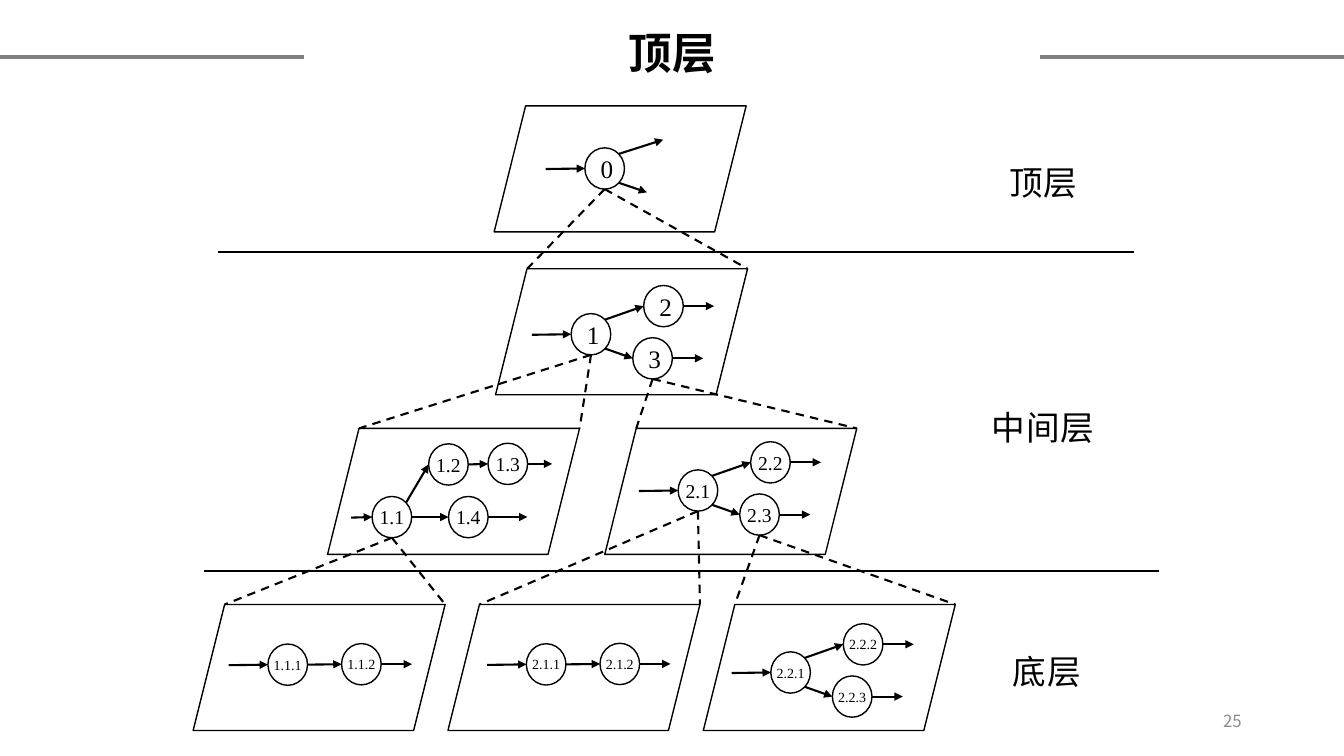
import pptx
import pptx.util
import pptx.dml.color
import pptx.enum.dml
import pptx.enum.shapes
import pptx.enum.text
import pptx.oxml.ns
import lxml.etree

Pt = pptx.util.Pt
ALIGN = pptx.enum.text.PP_ALIGN
ANCHOR = pptx.enum.text.MSO_ANCHOR
SHAPE = pptx.enum.shapes.MSO_SHAPE

BLACK, WHITE, GREY, LIGHT_GREY = "000000", "FFFFFF", "808080", "8C8C8C"
CJK_FONT = "Noto Sans CJK SC"
PANEL_WIDTH, PANEL_HEIGHT, PANEL_SLANT = 180, 90, 22.5
CIRCLE_WIDTH, CIRCLE_HEIGHT = 28.3, 29.5
UPPER_EXIT, LOWER_EXIT = (24.3, 4.3), (24.3, 25)


def color(value):
    return pptx.dml.color.RGBColor.from_string(value)


def add_run(paragraph, text, size, font, hue=BLACK, bold=False):
    run = paragraph.add_run()
    run.text = text
    run.font.size = Pt(size)
    run.font.name = font
    run.font.bold = bold
    run.font.color.rgb = color(hue)
    if font == CJK_FONT:
        east_asian = lxml.etree.SubElement(run.font._element, pptx.oxml.ns.qn("a:ea"))
        east_asian.set("typeface", font)
    return run


def add_text(slide, left, top, width, height, align, anchor=ANCHOR.MIDDLE):
    box = slide.shapes.add_textbox(Pt(left), Pt(top), Pt(width), Pt(height))
    box.text_frame.word_wrap = True
    box.text_frame.vertical_anchor = anchor
    paragraph = box.text_frame.paragraphs[0]
    paragraph.alignment = align
    return box.text_frame, paragraph


def add_level_label(slide, text, left, top, width):
    frame, paragraph = add_text(slide, left, top, width, 51, ALIGN.LEFT, ANCHOR.TOP)
    frame.word_wrap = False
    frame.auto_size = pptx.enum.text.MSO_AUTO_SIZE.SHAPE_TO_FIT_TEXT
    paragraph.line_spacing = 1.5
    run = add_run(paragraph, text, 24, "Arial")
    run.font._element.set("spc", "50")


def add_line(slide, start, end, hue=BLACK, width=1.5, dashed=False, arrow=False):
    line = slide.shapes.add_connector(
        pptx.enum.shapes.MSO_CONNECTOR.STRAIGHT,
        Pt(start[0]), Pt(start[1]), Pt(end[0]), Pt(end[1]))
    line.line.color.rgb = color(hue)
    line.line.width = Pt(width)
    if dashed:
        line.line.dash_style = pptx.enum.dml.MSO_LINE.DASH
    properties = line._element.spPr
    if arrow:
        head = lxml.etree.SubElement(
            properties.find(pptx.oxml.ns.qn("a:ln")), pptx.oxml.ns.qn("a:tailEnd"))
        head.set("type", "triangle")
    lxml.etree.SubElement(properties, pptx.oxml.ns.qn("a:effectLst"))


def add_outlined_shape(slide, kind, left, top, width, height):
    shape = slide.shapes.add_shape(kind, Pt(left), Pt(top), Pt(width), Pt(height))
    shape.shadow.inherit = False
    shape.fill.solid()
    shape.fill.fore_color.rgb = color(WHITE)
    shape.line.color.rgb = color(BLACK)
    shape.line.width = Pt(1)
    return shape


def add_panel(slide, left, top):
    add_outlined_shape(slide, SHAPE.PARALLELOGRAM, left, top, PANEL_WIDTH, PANEL_HEIGHT)
    return left, top


def add_process(slide, name, left, top, size):
    circle = add_outlined_shape(
        slide, SHAPE.FLOWCHART_CONNECTOR, left, top, CIRCLE_WIDTH, CIRCLE_HEIGHT)
    frame = circle.text_frame
    frame.word_wrap = True
    frame.vertical_anchor = ANCHOR.MIDDLE
    if size < 18:
        frame.margin_left = frame.margin_right = 0
        frame.margin_top = frame.margin_bottom = 0
    paragraph = frame.paragraphs[0]
    paragraph.alignment = ALIGN.CENTER
    add_run(paragraph, name, size, "Times New Roman")
    return left, top


def shift(point, offset):
    return point[0] + offset[0], point[1] + offset[1]


def left_side(process):
    return shift(process, (0, CIRCLE_HEIGHT / 2))


def right_side(process):
    return shift(process, (CIRCLE_WIDTH, CIRCLE_HEIGHT / 2))


def add_inflow(slide, process, length=28):
    end = left_side(process)
    add_line(slide, shift(end, (-length, 0.4)), end, arrow=True)


def add_outflow(slide, process, length=22):
    start = right_side(process)
    add_line(slide, start, shift(start, (length, 0)), arrow=True)


def add_branch(slide, names, left, top, size):
    """One process that feeds an upper and a lower one."""
    source = add_process(slide, names[0], left, top, size)
    upper = add_process(slide, names[1], left + 51.8, top - 20.1, size)
    lower = add_process(slide, names[2], left + 44, top + 17.2, size)
    add_inflow(slide, source)
    for target, leaving in ((upper, UPPER_EXIT), (lower, LOWER_EXIT)):
        add_line(slide, shift(source, leaving), left_side(target), arrow=True)
        add_outflow(slide, target)
    return source, lower


def add_chain(slide, names, left, top, size):
    """Two processes in a row."""
    first = add_process(slide, names[0], left, top, size)
    second = add_process(slide, names[1], left + 52.6, top - 0.3, size)
    add_inflow(slide, first)
    add_line(slide, right_side(first), left_side(second), arrow=True)
    add_outflow(slide, second)


def add_expansion(slide, process, panel):
    """Dashed lines from a process to the top corners of its panel."""
    bottom = shift(process, (CIRCLE_WIDTH / 2, CIRCLE_HEIGHT))
    for corner in (PANEL_SLANT, PANEL_WIDTH):
        add_line(slide, bottom, shift(panel, (corner, 0)), dashed=True)


def main():
    presentation = pptx.Presentation()
    presentation.slide_width, presentation.slide_height = Pt(960), Pt(540)
    slide = presentation.slides.add_slide(presentation.slide_layouts[6])

    # Title between two bars, and page number
    _, paragraph = add_text(slide, 92.9, -4.3, 774.7, 87.8, ALIGN.CENTER)
    paragraph.line_spacing = 0.9
    paragraph.space_after = Pt(12)
    add_run(paragraph, "顶层", 31, CJK_FONT, bold=True)
    for left in (0, 743):
        add_line(slide, (left, 41), (left + 217, 41), GREY, 3)
    _, paragraph = add_text(slide, 678, 500.4, 216, 28.8, ALIGN.RIGHT)
    add_run(paragraph, "25", 12, CJK_FONT, LIGHT_GREY)

    # Panels and the lines between levels
    add_panel(slide, 353, 75.6)
    add_line(slide, (156, 180), (810, 180))
    add_line(slide, (146, 408), (828, 408))
    panel_0 = add_panel(slide, 354, 192)
    panel_1, panel_2 = [add_panel(slide, left, 306) for left in (234, 432)]
    panel_11, panel_21, panel_22 = [add_panel(slide, left, 431.8) for left in (138, 320, 502.4)]

    # Top level
    process_0 = add_process(slide, "0", 417.8, 105.6, 18)
    add_inflow(slide, process_0)
    for leaving, target in ((UPPER_EXIT, (56, -5.8)), (LOWER_EXIT, (44.4, 31.8))):
        add_line(slide, shift(process_0, leaving), shift(process_0, target), arrow=True)

    # Middle level
    process_1, process_3 = add_branch(slide, ("1", "2", "3"), 408, 224, 18)
    process_21, process_23 = add_branch(slide, ("2.1", "2.2", "2.3"), 484.4, 335.6, 14)
    process_11 = add_process(slide, "1.1", 265.8, 354.6, 14)
    process_12 = add_process(slide, "1.2", 306.2, 317, 14)
    process_13 = add_process(slide, "1.3", 348.6, 316.6, 14)
    process_14 = add_process(slide, "1.4", 320.4, 354.6, 14)
    add_inflow(slide, process_11, 15)
    add_line(slide, shift(process_11, UPPER_EXIT), left_side(process_12), arrow=True)
    for source, target in ((process_11, process_14), (process_12, process_13)):
        add_line(slide, right_side(source), left_side(target), arrow=True)
    add_outflow(slide, process_14, 28)
    add_outflow(slide, process_13, 17.5)

    # Bottom level
    add_chain(slide, ("1.1.1", "1.1.2"), 191.4, 460, 10)
    add_chain(slide, ("2.1.1", "2.1.2"), 376, 459.8, 10)
    add_branch(slide, ("2.2.1", "2.2.2", "2.2.3"), 550.6, 465.6, 10)

    # Each process opens into the panel below it
    for process, panel in ((process_0, panel_0), (process_1, panel_1), (process_3, panel_2),
                           (process_11, panel_11), (process_21, panel_21), (process_23, panel_22)):
        add_expansion(slide, process, panel)

    # Level labels
    add_level_label(slide, "顶层", 714.2, 98, 64)
    add_level_label(slide, "中间层", 701.4, 273, 88.6)
    add_level_label(slide, "底层", 716.4, 447, 64)

    presentation.save("out.pptx")


if __name__ == "__main__":
    main()
